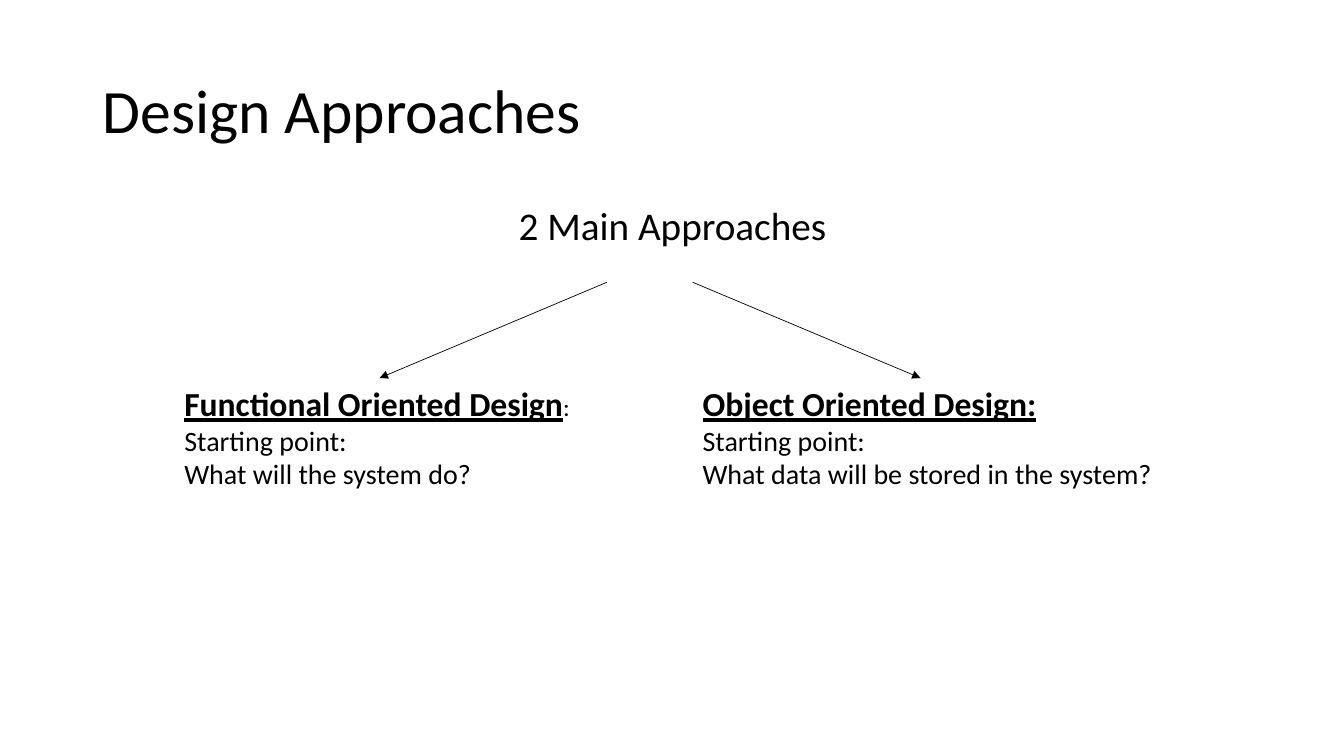
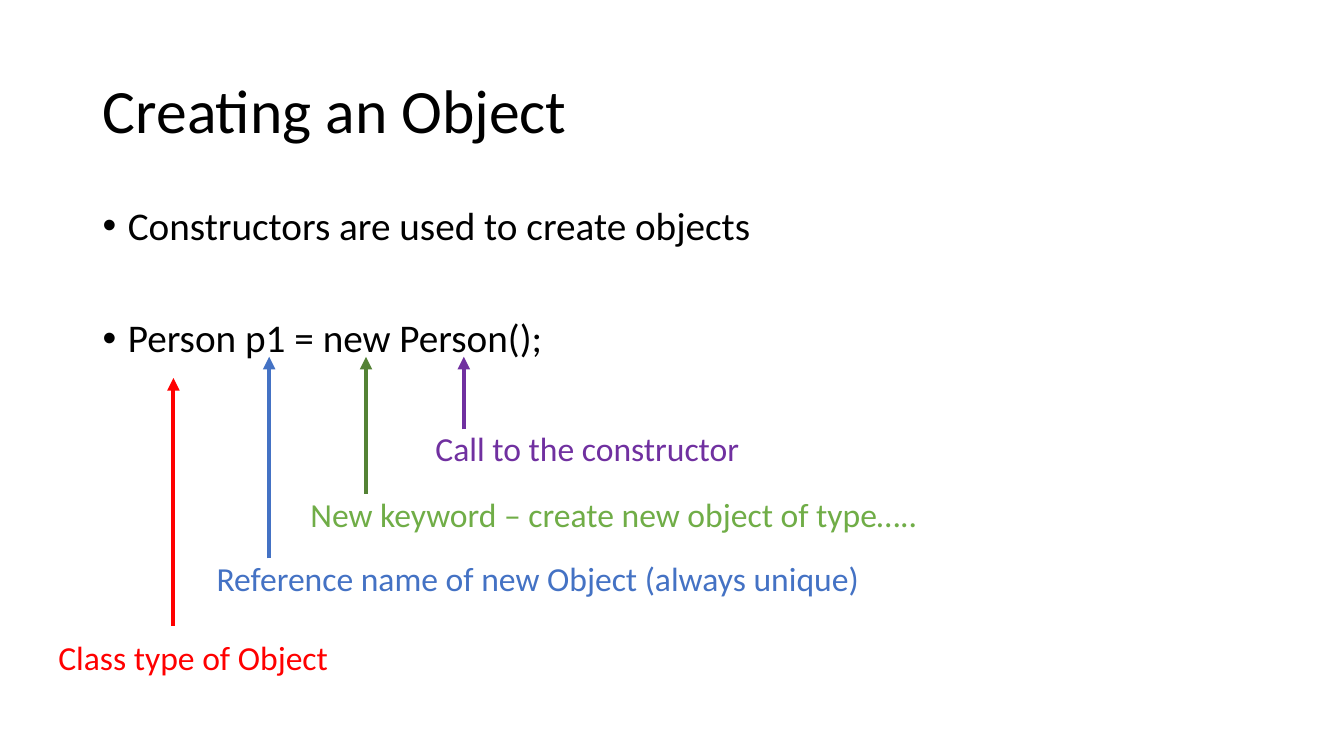
from dataclasses import dataclass

from lxml import etree
from pptx import Presentation
from pptx.dml.color import RGBColor
from pptx.enum.shapes import MSO_CONNECTOR
from pptx.enum.text import MSO_ANCHOR, MSO_AUTO_SIZE, PP_ALIGN
from pptx.oxml.ns import qn
from pptx.util import Inches, Pt

STRAIGHT = MSO_CONNECTOR.STRAIGHT
MIDDLE = MSO_ANCHOR.MIDDLE
NO_FIT = MSO_AUTO_SIZE.NONE
LEFT, CENTER = PP_ALIGN.LEFT, PP_ALIGN.CENTER
TITLE_ONLY = 5
TOP = 0


@dataclass(frozen=True)
class Theme:
    font: str = "Calibri"
    text: str = "000000"
    red: str = "FF0000"
    blue: str = "4472C4"
    green: str = "70AD47"
    dark_green: str = "548235"
    purple: str = "7030A0"
    title: int = 44
    body: int = 28
    label: int = 24
    detail: int = 20
    small: int = 18
    spacing: float = 0.9


class Deck:
    def __init__(self, theme):
        self.theme = theme
        self.prs = Presentation()
        self.prs.slide_width = Inches(13.33)
        self.prs.slide_height = Inches(7.5)
        self.s = None

    def format(self, r, size, color=None, strong=False):
        font = r.font
        font.name = self.theme.font
        font.size = Pt(size)
        font.color.rgb = RGBColor.from_string(color or self.theme.text)
        font.bold = strong
        font.underline = strong

    def slide(self, title):
        self.s = self.prs.slides.add_slide(self.prs.slide_layouts[TITLE_ONLY])
        sp = self.s.shapes.title
        sp.left, sp.top = Inches(0.92), Inches(0.4)
        sp.width, sp.height = Inches(11.5), Inches(1.45)
        tf = sp.text_frame
        tf.text = title
        tf.auto_size = NO_FIT
        tf.vertical_anchor = MIDDLE
        p = tf.paragraphs[0]
        p.alignment = LEFT
        p.line_spacing = self.theme.spacing
        self.format(p.runs[0], self.theme.title)

    def box(self, x, y, w, h, wrap=False):
        sp = self.s.shapes.add_textbox(Inches(x), Inches(y), Inches(w), Inches(h))
        sp.text_frame.word_wrap = wrap
        return sp

    def body(self, lines, bullets=True, gap=0):
        tf = self.box(0.92, 2, 11.5, 4.76, wrap=True).text_frame
        tf.text = "\n".join(lines)
        for i, p in enumerate(tf.paragraphs):
            if bullets:
                self.bullet(p)
            else:
                p.alignment = CENTER
            p.line_spacing = self.theme.spacing
            p.space_before = Pt(gap if i else 0)
            self.format(p.runs[0], self.theme.body)

    def bullet(self, p):
        pPr = p._p.get_or_add_pPr()
        pPr.set("marL", str(Inches(0.25)))
        pPr.set("indent", str(Inches(-0.25)))
        etree.SubElement(pPr, qn("a:buFont")).set("typeface", "Arial")
        etree.SubElement(pPr, qn("a:buChar")).set("char", "•")

    def label(self, x, y, w, text, color):
        sp = self.box(x, y, w, 0.5)
        sp.text_frame.text = text
        self.format(sp.text_frame.paragraphs[0].runs[0], self.theme.label, color)

    def approach(self, x, w, heading, question, suffix=""):
        sp = self.box(x, 3.75, w, 1.18)
        tf = sp.text_frame
        tf.text = "\n".join([heading, "Starting point:", question])
        head, *details = tf.paragraphs
        self.format(head.runs[0], self.theme.label, strong=True)
        if suffix:
            r = head.add_run()
            r.text = suffix
            self.format(r, self.theme.small)
        for p in details:
            self.format(p.runs[0], self.theme.detail)
        return sp

    def arrow(self, x1, y1, x2, y2, color, width, target=None):
        line = self.s.shapes.add_connector(
            STRAIGHT, Inches(x1), Inches(y1), Inches(x2), Inches(y2))
        if target is not None:
            line.end_connect(target, TOP)
        line.line.color.rgb = RGBColor.from_string(color)
        line.line.width = Pt(width)
        etree.SubElement(line.line._get_or_add_ln(), qn("a:tailEnd")).set("type", "triangle")
        etree.SubElement(line._element.spPr, qn("a:effectLst"))


def design_approaches(deck):
    color = deck.theme.text
    deck.slide("Design Approaches")
    deck.body(["2 Main Approaches"], bullets=False)
    functional = deck.approach(
        1.73, 4.07, "Functional Oriented Design", "What will the system do?", ":")
    deck.approach(
        6.87, 4.7, "Object Oriented Design:", "What data will be stored in the system?")
    deck.arrow(6.02, 2.8, 3.76, 3.75, color, 0.5, functional)
    deck.arrow(6.87, 2.8, 9.13, 3.75, color, 0.5)


def creating_an_object(deck):
    t = deck.theme
    deck.slide("Creating an Object")
    deck.body(["Constructors are used to create objects", "Person p1 = new Person();"], gap=50)
    arrows = [
        (1.72, 6.21, 3.75, t.red),
        (2.67, 5.54, 3.54, t.blue),
        (3.63, 4.9, 3.54, t.dark_green),
        (4.6, 4.26, 3.54, t.purple),
    ]
    for x, start, end, color in arrows:
        deck.arrow(x, start, x, end, color, 3)
    labels = [
        (0.48, 6.27, 2.9, "Class type of Object", t.red),
        (2.05, 5.49, 6.64, "Reference name of new Object (always unique)", t.blue),
        (2.98, 4.85, 6.35, "New keyword – create new object of type…..", t.green),
        (4.22, 4.2, 3.24, "Call to the constructor", t.purple),
    ]
    for label in labels:
        deck.label(*label)


def main():
    deck = Deck(Theme())
    design_approaches(deck)
    creating_an_object(deck)
    deck.prs.save("out.pptx")


if __name__ == "__main__":
    main()
